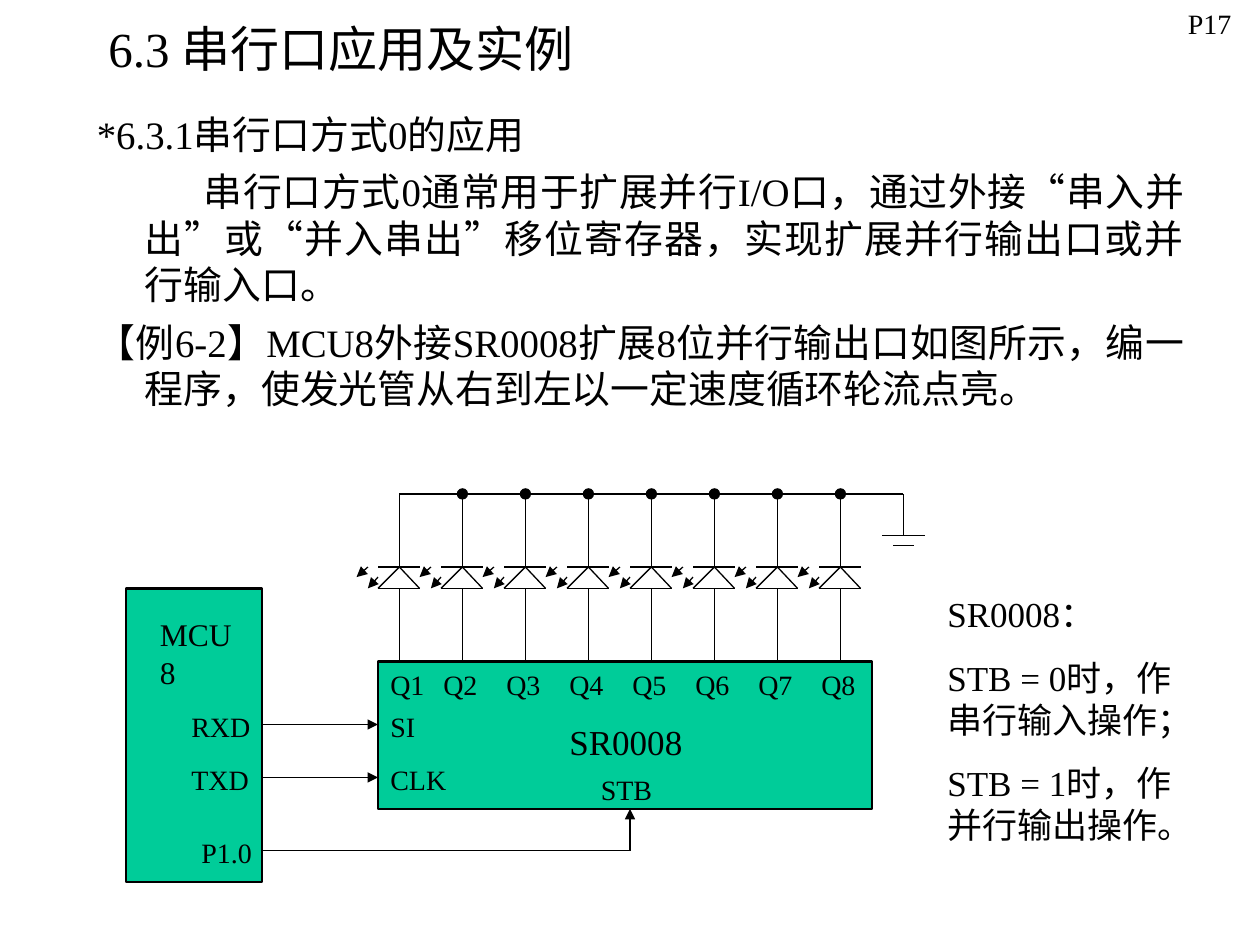
from pptx import Presentation
from pptx.dml.color import RGBColor
from pptx.enum.shapes import MSO_CONNECTOR, MSO_SHAPE
from pptx.enum.text import MSO_ANCHOR, MSO_AUTO_SIZE, PP_ALIGN
from pptx.oxml.ns import qn
from pptx.util import Inches, Pt
from lxml.etree import SubElement

FONT = "Times New Roman"
COLORS = {"ink": "000000", "chip": "00CC99", "paper": "FFFFFF"}
INK = RGBColor.from_string(COLORS["ink"])


def add_text(shapes, box, lines, size, before=0):
    tb = shapes.add_textbox(*[Inches(v) for v in box])
    tf = tb.text_frame
    tf.word_wrap = True
    tf.text = "\n".join(lines)
    for i, p in enumerate(tf.paragraphs):
        if i:
            p.space_before = Pt(before)
        for r in p.runs:
            r.font.size = Pt(size)
            r.font.name = FONT
            r.font.color.rgb = INK
    return tf


def add_line(shapes, x1, y1, x2, y2, arrow=False):
    c = shapes.add_connector(MSO_CONNECTOR.STRAIGHT, Inches(x1), Inches(y1), Inches(x2), Inches(y2))
    c.line.color.rgb = INK
    c.line.width = Pt(0.75)
    if arrow:
        SubElement(c.line._get_or_add_ln(), qn("a:tailEnd"), type="triangle")
    SubElement(c._element.spPr, qn("a:effectLst"))


prs = Presentation()
prs.slide_width, prs.slide_height = Inches(10), Inches(7.5)
s = prs.slides.add_slide(prs.slide_layouts[5])
s.background.fill.solid()
s.background.fill.fore_color.rgb = RGBColor.from_string(COLORS["paper"])

title = s.shapes.title
title.left, title.top, title.width, title.height = [Inches(v) for v in (0.58, 0.17, 4.25, 0.42)]
tf = title.text_frame
tf.text = "6.3 串行口应用及实例"
tf.auto_size = MSO_AUTO_SIZE.NONE
tf.vertical_anchor = MSO_ANCHOR.MIDDLE
p = tf.paragraphs[0]
p.alignment = PP_ALIGN.CENTER
r = p.runs[0]
r.font.size, r.font.name = Pt(28), FONT
r.font.color.rgb = INK

body = add_text(s.shapes, (0.67, 0.83, 8.83, 2.67), [
    "*6.3.1串行口方式0的应用",
    "串行口方式0通常用于扩展并行I/O口，通过外接“串入并出”或“并入串出”移位寄存器，实现扩展并行输出口或并行输入口。",
    "【例6-2】MCU8外接SR0008扩展8位并行输出口如图所示，编一程序，使发光管从右到左以一定速度循环轮流点亮。",
], 22.2, 6)
for p, indent in zip(body.paragraphs, (-0.38, 0.47, -0.38)):
    p.alignment = PP_ALIGN.JUSTIFY
    pPr = p._p.get_or_add_pPr()
    pPr.set("marL", str(Inches(0.38)))
    pPr.set("indent", str(Inches(indent)))

add_text(s.shapes, (9.33, 0, 0.67, 0.37), ["P17"], 16)
add_text(s.shapes, (7.42, 4.65, 2, 2.78), [
    "SR0008：", "STB = 0时，作串行输入操作；", "STB = 1时，作并行输出操作。"], 20, 12.5)

circuit = s.shapes.add_group_shape().shapes
for box in ((1, 4.67, 1.08, 2.33), (3, 5.25, 3.92, 1.17)):
    chip = circuit.add_shape(MSO_SHAPE.RECTANGLE, *[Inches(v) for v in box])
    chip.shadow.inherit = False
    chip.fill.solid()
    chip.fill.fore_color.rgb = RGBColor.from_string(COLORS["chip"])
    chip.line.color.rgb = INK
    chip.line.width = Pt(1.5)

BUS, LED_TOP, LED_BASE, CHIP_TOP = 3.92, 4.5, 4.67, 5.25
add_line(circuit, 3.17, BUS, 7.17, BUS)
for i in range(8):
    x = 3.17 + 0.5 * i
    left, right = x - 0.17, x + 0.16
    add_line(circuit, x, BUS, x, LED_TOP)
    add_line(circuit, left, LED_TOP, right, LED_TOP)
    add_line(circuit, left, LED_BASE, right, LED_BASE)
    add_line(circuit, x, LED_BASE, x, CHIP_TOP)
    add_line(circuit, x, LED_TOP, left, LED_BASE)
    add_line(circuit, x, LED_TOP, right, LED_BASE)
    add_line(circuit, x - 0.25, LED_TOP, x - 0.34, 4.58, arrow=True)
    add_line(circuit, left, 4.58, x - 0.25, LED_BASE, arrow=True)
    label_left = 2.92 + 0.5 * i if i else 3
    add_text(circuit, (label_left, CHIP_TOP, 0.5, 0.37), [f"Q{i + 1}"], 16)
    if i:
        dot = circuit.add_shape(MSO_SHAPE.OVAL, Inches(x - 0.04), Inches(BUS - 0.04),
                                Inches(0.08), Inches(0.08))
        dot.shadow.inherit = False
        dot.fill.solid()
        dot.fill.fore_color.rgb = INK
        dot.line.color.rgb = INK
        dot.line.width = Pt(0.75)

add_line(circuit, 7.17, BUS, 7.17, 4.25)
for y, half in ((4.25, 0.17), (4.33, 0.08)):
    add_line(circuit, 7.17 - half, y, 7.17 + half, y)

for name, x, y, width, height, size in (
    ("SI", 3, 5.58, 0.58, 0.37, 16),
    ("CLK", 3, 6, 0.75, 0.37, 16),
    ("STB", 4.67, 6.08, 0.75, 0.37, 16),
    ("SR0008", 4.42, 5.67, 1.58, 0.44, 20),
    ("MCU8", 1.17, 4.83, 0.83, 0.4, 18),
    ("RXD", 1.42, 5.58, 0.75, 0.37, 16),
    ("TXD", 1.42, 6, 0.92, 0.37, 16),
    ("P1.0", 1.5, 6.58, 0.83, 0.37, 16),
):
    add_text(circuit, (x, y, width, height), [name], size)

for y in (5.75, 6.17):
    add_line(circuit, 2.08, y, 3, y, arrow=True)
add_line(circuit, 2.08, 6.75, 5, 6.75)
add_line(circuit, 5, 6.75, 5, 6.42, arrow=True)

prs.save("out.pptx")
